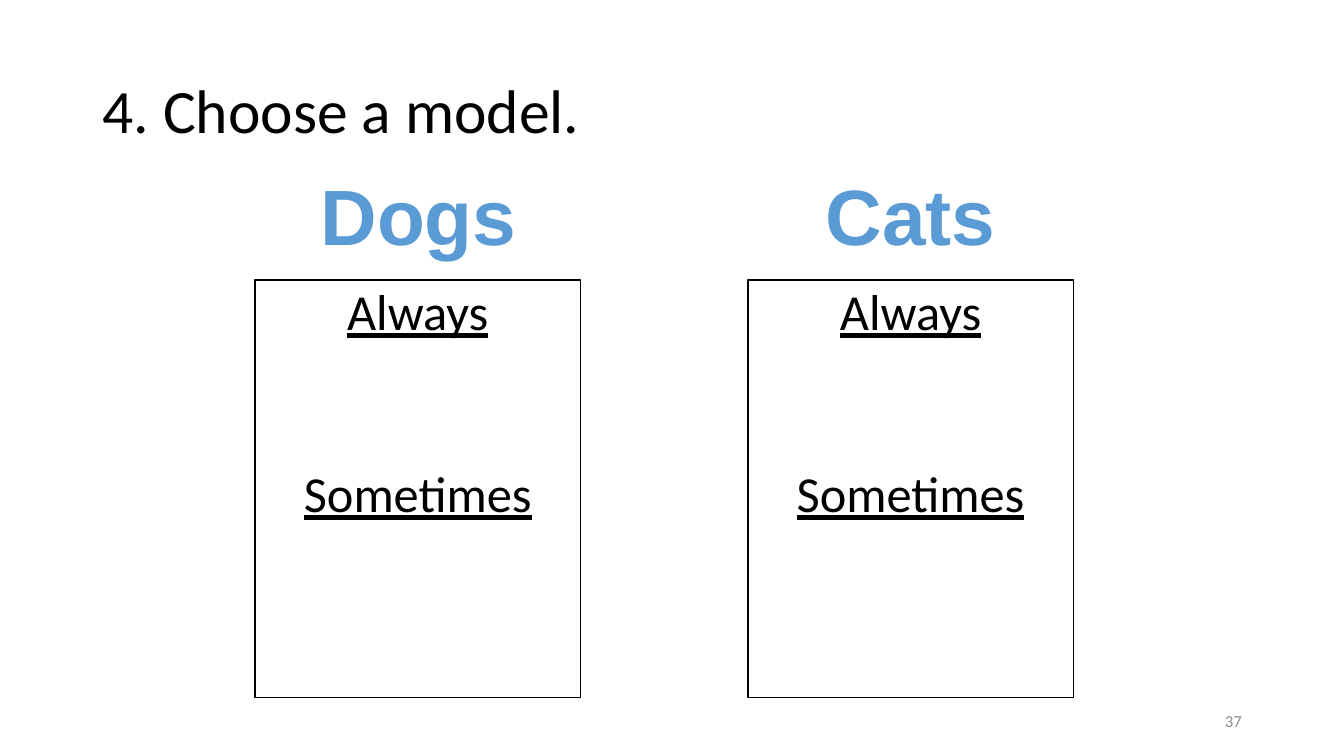
import pptx
import pptx.util
import pptx.dml.color
import pptx.enum.shapes
import pptx.enum.text

Cm = pptx.util.Cm
Pt = pptx.util.Pt
ALIGN = pptx.enum.text.PP_ALIGN
ANCHOR = pptx.enum.text.MSO_ANCHOR


def color(value):
    return pptx.dml.color.RGBColor.from_string(value)


def add_run(p, text, size, font, fill, bold=False, underline=False):
    r = p.add_run()
    r.text = text
    r.font.size = Pt(size)
    r.font.name = font
    r.font.color.rgb = color(fill)
    r.font.bold = bold
    r.font.underline = underline


def set_title(s, text):
    sp = s.shapes.title
    sp.left, sp.top, sp.width, sp.height = Cm(2.33), Cm(1.01), Cm(29.21), Cm(3.68)
    tf = sp.text_frame
    tf.vertical_anchor = ANCHOR.MIDDLE
    p = tf.paragraphs[0]
    p.alignment = ALIGN.LEFT
    p.line_spacing = 0.9
    add_run(p, text, 44, "Calibri", "000000")


def add_label(s, box, text, size, font, fill, align, anchor, bold=False):
    tf = s.shapes.add_textbox(*map(Cm, box)).text_frame
    tf.word_wrap = True
    tf.vertical_anchor = anchor
    p = tf.paragraphs[0]
    p.alignment = align
    add_run(p, text, size, font, fill, bold)


def add_model_box(s, box, headings, gap):
    sp = s.shapes.add_shape(pptx.enum.shapes.MSO_SHAPE.RECTANGLE, *map(Cm, box))
    sp.shadow.inherit = False
    sp.fill.background()
    sp.line.color.rgb = color("000000")
    sp.line.width = Pt(1)
    tf = sp.text_frame
    tf.word_wrap = True
    tf.vertical_anchor = ANCHOR.TOP
    tf.margin_top = Cm(0)
    for i, heading in enumerate(headings):
        p = tf.add_paragraph() if i else tf.paragraphs[0]
        p.alignment = ALIGN.CENTER
        if i:
            p.space_before = Pt(gap)
        add_run(p, heading, 36, "Calibri", "000000", underline=True)


def main():
    prs = pptx.Presentation()
    prs.slide_width, prs.slide_height = Cm(33.87), Cm(19.05)
    s = prs.slides.add_slide(prs.slide_layouts[5])
    set_title(s, "4. Choose a model.")
    for animal, label_left, box_left in (("Dogs", 7.82, 6.43), ("Cats", 20.22, 18.85)):
        add_model_box(s, (box_left, 7.06, 8.2, 10.52), ("Always", "Sometimes"), 87)
        add_label(s, (label_left, 4.09, 5.46, 2.64), animal, 56, "Arial", "5B9BD5",
                  ALIGN.CENTER, ANCHOR.TOP, bold=True)
    add_label(s, (23.93, 17.65, 7.62, 1.02), "37", 12, "Calibri", "8C8C8C",
              ALIGN.RIGHT, ANCHOR.MIDDLE)
    prs.save("out.pptx")


if __name__ == "__main__":
    main()
